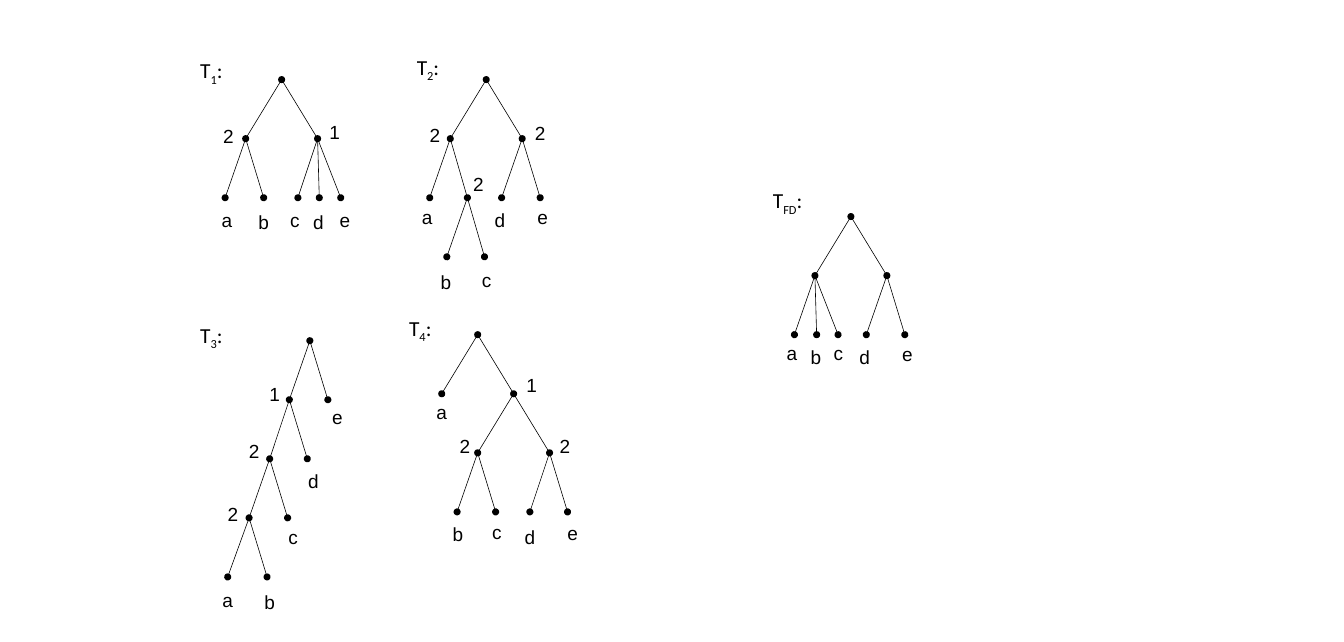
from pptx import Presentation
from pptx.dml.color import RGBColor
from pptx.enum.shapes import MSO_CONNECTOR
from pptx.enum.text import MSO_AUTO_SIZE
from pptx.oxml.ns import qn
from pptx.util import Inches, Pt
from lxml import etree

LINE = MSO_CONNECTOR.STRAIGHT
GROW = MSO_AUTO_SIZE.SHAPE_TO_FIT_TEXT
INK = "000000"
STEP = 0.69  # height of one tree level
WIDTHS = {"a": 0.32, "b": 0.31, "c": 0.29, "d": 0.32, "e": 0.29,
          "1": 0.3, "2": 0.33}
LEAF = {"name": "Arial", "size": Pt(16)}
HEAD = {"name": "Calibri", "size": Pt(18)}
FRAME = {"word_wrap": False, "auto_size": GROW}

# Each tree: name, (left, top, width) of its name, root point, nodes.
# Each node: parent index (0 is the root), x, then label, left and top if any.
TREES = [
    ("1", (2.24, 0.62, 0.48), (3.29, 0.93), [
        (0, 2.87, "2", 2.51, 1.4), (0, 3.71, "1", 3.75, 1.36),
        (1, 2.63, "a", 2.49, 2.39), (1, 3.08, "b", 2.92, 2.41),
        (2, 3.48, "c", 3.29, 2.39), (2, 3.73, "d", 3.56, 2.41),
        (2, 3.98, "e", 3.87, 2.39)]),
    ("2", (4.77, 0.58, 0.48), (5.68, 0.93), [
        (0, 5.26, "2", 4.92, 1.39), (0, 6.1, "2", 6.15, 1.37),
        (1, 5.02, "a", 4.83, 2.35), (1, 5.46, "2", 5.43, 1.97),
        (2, 5.86, "d", 5.68, 2.39), (2, 6.31, "e", 6.18, 2.35),
        (4, 5.22, "b", 5.05, 3.11), (4, 5.66, "c", 5.53, 3.09)]),
    ("3", (2.24, 3.71, 0.48), (3.62, 3.98), [
        (0, 3.38, "1", 3.05, 4.42), (0, 3.83, "e", 3.78, 4.69),
        (1, 3.15, "2", 2.81, 5.09), (1, 3.59, "d", 3.5, 5.44),
        (3, 2.91, "2", 2.56, 5.82), (3, 3.36, "c", 3.27, 6.09),
        (5, 2.66, "a", 2.5, 6.83), (5, 3.12, "b", 2.99, 6.85)]),
    ("4", (4.68, 3.63, 0.48), (5.58, 3.91), [
        (0, 5.16, "a", 5, 4.63), (0, 6, "1", 6.05, 4.32),
        (2, 5.58, "2", 5.27, 5.03), (2, 6.42, "2", 6.44, 5.03),
        (3, 5.34, "b", 5.19, 6.06), (3, 5.79, "c", 5.65, 6.03),
        (4, 6.19, "d", 6.03, 6.09), (4, 6.63, "e", 6.53, 6.04)]),
    ("FD", (8.93, 2.14, 0.57), (9.94, 2.53), [
        (0, 9.52), (0, 10.36),
        (1, 9.28, "a", 9.09, 3.94), (1, 9.54, "b", 9.37, 3.99),
        (1, 9.79, "c", 9.64, 3.94), (2, 10.12, "d", 9.94, 3.99),
        (2, 10.57, "e", 10.44, 3.95)]),
]


def color(code):
    """Turn a hex string into a colour."""
    return RGBColor.from_string(code)


def write(parts, left, top, width, height, style):
    """Add a text box; every second part is a subscript."""
    box = slide.shapes.add_textbox(*map(Inches, (left, top, width, height)))
    frame = box.text_frame
    for key, val in FRAME.items():
        setattr(frame, key, val)
    for i, part in enumerate(parts):
        run = frame.paragraphs[0].add_run()
        run.text = part
        run.font.color.rgb = color(INK)
        for key, val in style.items():
            setattr(run.font, key, val)
        if i % 2:
            run.font._element.set("baseline", "-25000")


deck = Presentation()
deck.slide_width, deck.slide_height = Inches(15.7), Inches(7.5)
slide = deck.slides.add_slide(deck.slide_layouts[6])

for name, (left, top, width), root, nodes in TREES:
    points = [root]
    for i, (parent, x, *label) in enumerate(nodes):
        start = points[parent]
        end = (x, start[1] + STEP)
        points.append(end)
        edge = slide.shapes.add_connector(LINE, *map(Inches, start + end))
        edge.line.width = Pt(0.5)
        edge.line.color.rgb = color(INK)
        ends = ["a:tailEnd"] if i else ["a:headEnd", "a:tailEnd"]
        for tag in ends:
            etree.SubElement(edge.line._ln, qn(tag), type="oval")
        etree.SubElement(edge._element.spPr, qn("a:effectLst"))
        if label:
            text, x, y = label
            write([text], x, y, WIDTHS[text], 0.37, LEAF)
    write(["T", name, ":"], left, top, width, 0.4, HEAD)

deck.save("out.pptx")
